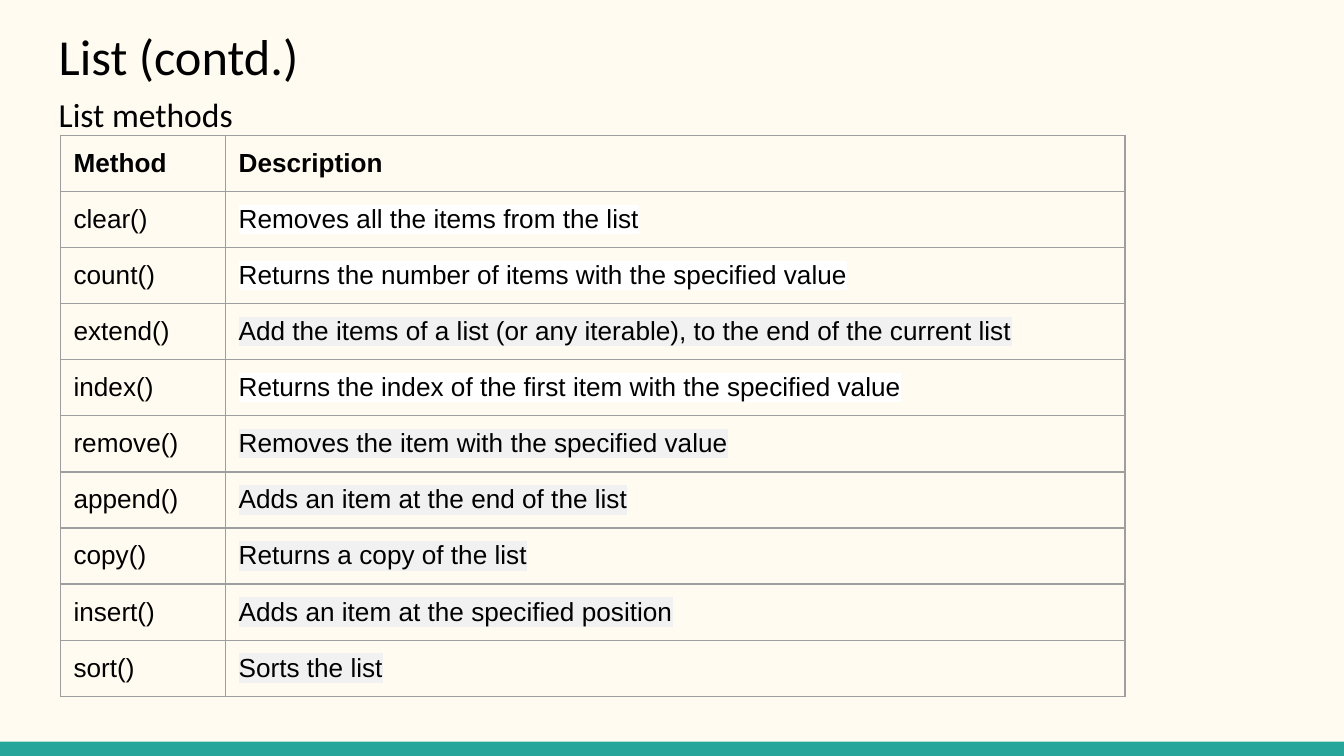
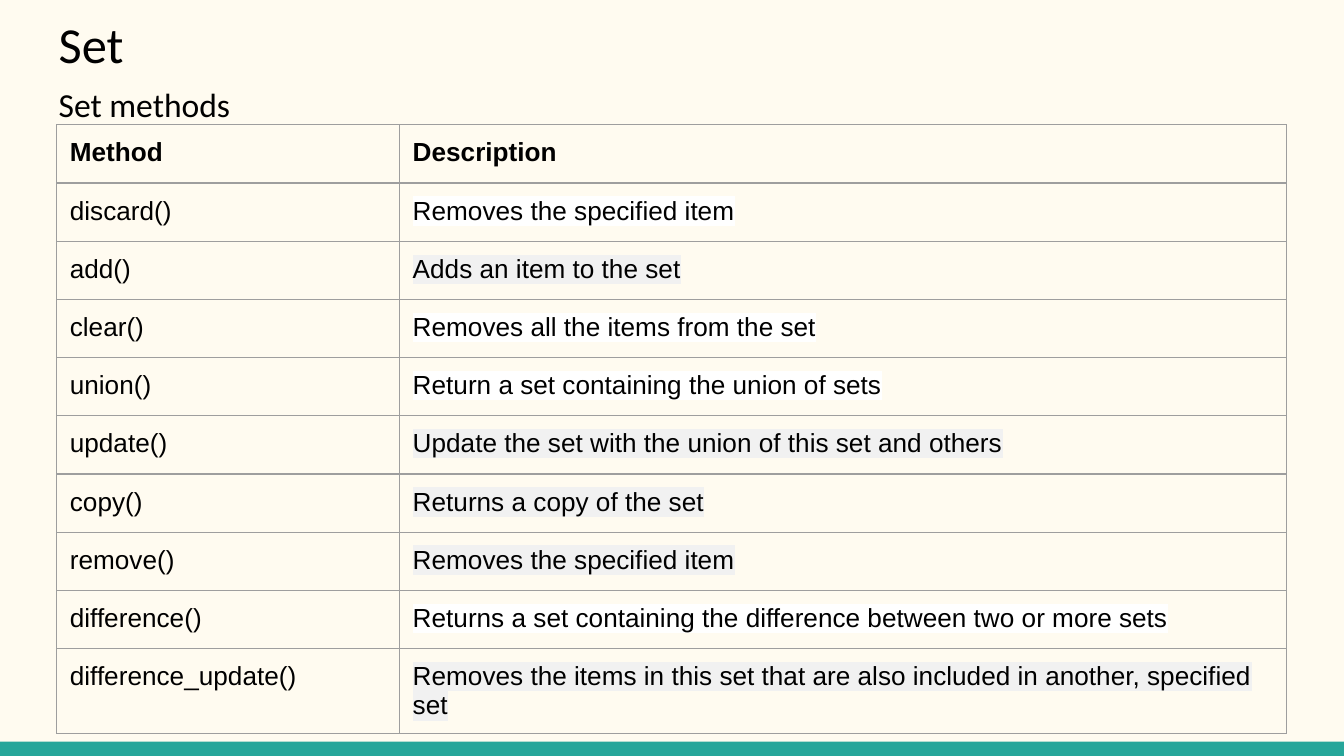
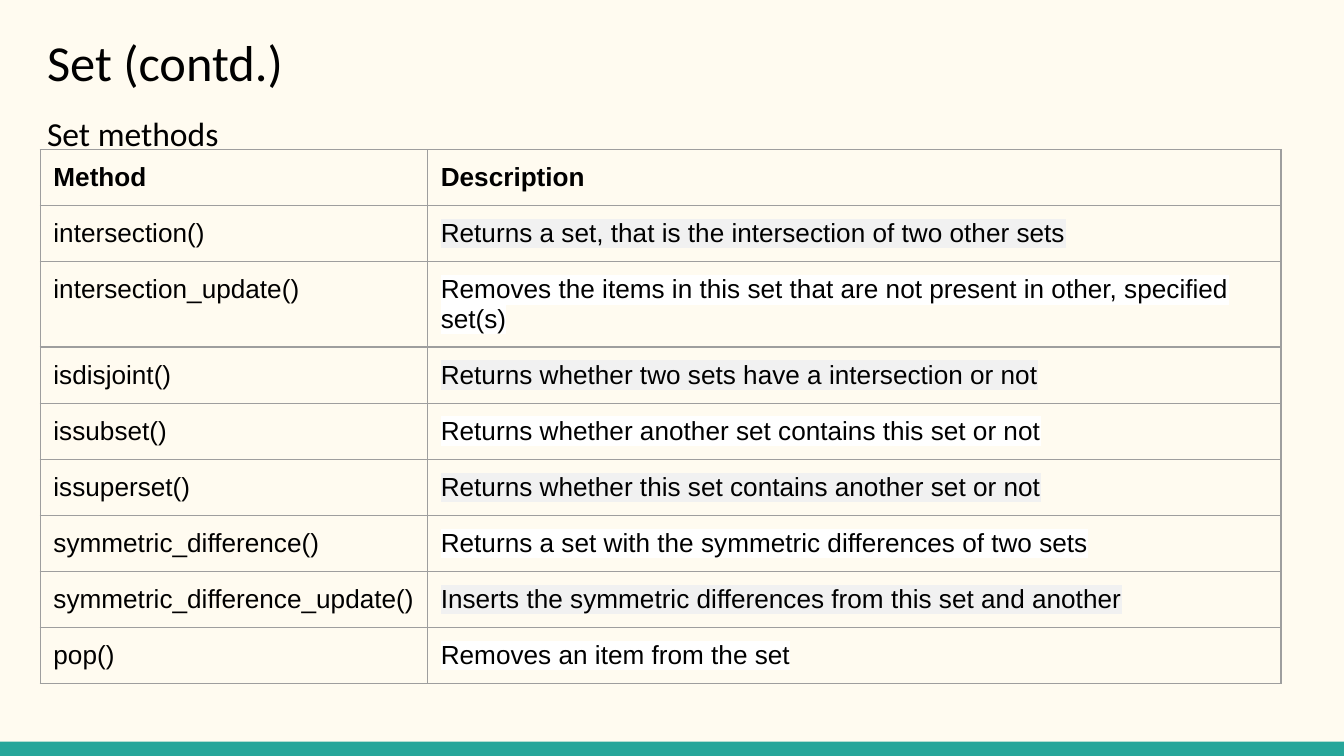
"""Build three slides that list the methods of Python lists and sets."""
from dataclasses import dataclass

from lxml.etree import SubElement
from pptx import Presentation
from pptx.dml.color import RGBColor as Rgb
from pptx.enum.shapes import MSO_SHAPE as Preset
from pptx.enum.text import MSO_ANCHOR as Anchor, MSO_AUTO_SIZE as AutoSize, PP_ALIGN as Align
from pptx.oxml.ns import qn
from pptx.presentation import Presentation as Deck
from pptx.slide import Slide
from pptx.table import _Cell as Cell
from pptx.text.text import TextFrame, _Paragraph as Paragraph
from pptx.util import Cm, Pt


@dataclass(frozen=True)
class Theme:
    paper: str = "FFFBF0"
    band: str = "26A69A"
    ink: str = "000000"
    grid: str = "9E9E9E"
    plain: str = "FFFFFF"
    shaded: str = "F1F1F1"
    heading_font: str = "Calibri"
    table_font: str = "Arial"
    title_size: float = 27
    subtitle_size: float = 18
    table_size: float = 14
    grid_width: float = 0.75
    inset: float = 0.25


@dataclass(frozen=True)
class Method:
    name: str
    description: str
    shaded: bool = False


@dataclass(frozen=True)
class MethodPage:
    title: str
    subtitle: str
    heading_left: float
    title_top: float
    subtitle_top: float
    table_left: float
    table_top: float
    column_widths: tuple[float, float]
    row_height: float
    methods: tuple[Method, ...]


THEME = Theme()
SLIDE_WIDTH, SLIDE_HEIGHT = 25.4, 14.29
BAND_HEIGHT = 0.27
HEADING_WIDTH, TITLE_HEIGHT, SUBTITLE_HEIGHT = 23.67, 1.6, 9.5

PAGES = (
    MethodPage(
        "List (contd.)", "List methods", 0.86, 0.23, 1.42, 1.14, 2.56, (3.12, 17), 1.06,
        (
            Method("clear()", "Removes all the items from the list"),
            Method("count()", "Returns the number of items with the specified value"),
            Method("extend()", "Add the items of a list (or any iterable), "
                               "to the end of the current list", True),
            Method("index()", "Returns the index of the first item with the specified value"),
            Method("remove()", "Removes the item with the specified value", True),
            Method("append()", "Adds an item at the end of the list", True),
            Method("copy()", "Returns a copy of the list", True),
            Method("insert()", "Adds an item at the specified position", True),
            Method("sort()", "Sorts the list", True),
        ),
    ),
    MethodPage(
        "Set", "Set methods", 0.86, 0, 1.22, 1.07, 2.36, (6.48, 16.76), 1.1,
        (
            Method("discard()", "Removes the specified item"),
            Method("add()", "Adds an item to the set", True),
            Method("clear()", "Removes all the items from the set"),
            Method("union()", "Return a set containing the union of sets"),
            Method("update()", "Update the set with the union of this set and others", True),
            Method("copy()", "Returns a copy of the set", True),
            Method("remove()", "Removes the specified item", True),
            Method("difference()",
                   "Returns a set containing the difference between two or more sets"),
            Method("difference_update()", "Removes the items in this set that are also "
                                          "included in another, specified set", True),
        ),
    ),
    MethodPage(
        "Set (contd.)", "Set methods", 0.64, 0.33, 1.78, 0.76, 2.83, (7.32, 16.13), 1.06,
        (
            Method("intersection()",
                   "Returns a set, that is the intersection of two other sets", True),
            Method("intersection_update()", "Removes the items in this set that are not "
                                            "present in other, specified set(s)"),
            Method("isdisjoint()", "Returns whether two sets have a intersection or not", True),
            Method("issubset()", "Returns whether another set contains this set or not"),
            Method("issuperset()", "Returns whether this set contains another set or not", True),
            Method("symmetric_difference()",
                   "Returns a set with the symmetric differences of two sets"),
            Method("symmetric_difference_update()",
                   "Inserts the symmetric differences from this set and another", True),
            Method("pop()", "Removes an item from the set"),
        ),
    ),
)


def style_paragraph(paragraph: Paragraph, face: str, size: float, bold: bool = False) -> None:
    """Set the typeface, size, weight and ink of a paragraph."""
    paragraph.alignment = Align.LEFT
    font = paragraph.font
    font.name, font.size, font.bold = face, Pt(size), bold
    font.color.rgb = Rgb.from_string(THEME.ink)


def write_heading(frame: TextFrame, text: str, size: float) -> Paragraph:
    """Fill a heading frame with one top-aligned line."""
    frame.text = text
    frame.word_wrap = True
    frame.auto_size = AutoSize.NONE
    frame.vertical_anchor = Anchor.TOP
    frame.margin_left = frame.margin_right = Cm(THEME.inset)
    frame.margin_top = frame.margin_bottom = Cm(THEME.inset)
    line = frame.paragraphs[0]
    style_paragraph(line, THEME.heading_font, size)
    return line


def add_headings(slide: Slide, page: MethodPage) -> None:
    """Place the title and the subtitle below it."""
    title = slide.shapes.title
    title.left, title.top = Cm(page.heading_left), Cm(page.title_top)
    title.width, title.height = Cm(HEADING_WIDTH), Cm(TITLE_HEIGHT)
    write_heading(title.text_frame, page.title, THEME.title_size)
    subtitle = slide.shapes.add_textbox(
        Cm(page.heading_left), Cm(page.subtitle_top), Cm(HEADING_WIDTH), Cm(SUBTITLE_HEIGHT))
    line = write_heading(subtitle.text_frame, page.subtitle, THEME.subtitle_size)
    line.line_spacing = 1.15
    line.space_after = Pt(12)


def add_color(parent, tag: str, color: str) -> None:
    """Append a colour element to an XML parent."""
    SubElement(SubElement(parent, qn(tag)), qn("a:srgbClr"), val=color)


def write_cell(cell: Cell, text: str, bold: bool = False, highlight: str = "") -> None:
    """Write a bordered, unfilled cell, optionally with highlighted text."""
    cell.margin_left = cell.margin_right = Cm(THEME.inset)
    cell.margin_top = cell.margin_bottom = Cm(THEME.inset)
    properties = cell._tc.get_or_add_tcPr()
    for side in ("a:lnL", "a:lnR", "a:lnT", "a:lnB"):
        border = SubElement(properties, qn(side), w=str(Pt(THEME.grid_width)))
        add_color(border, "a:solidFill", THEME.grid)
    cell.fill.background()
    line = cell.text_frame.paragraphs[0]
    style_paragraph(line, THEME.table_font, THEME.table_size, bold)
    run = line.add_run()
    run.text = text
    if highlight:
        add_color(run._r.get_or_add_rPr(), "a:highlight", highlight)


def add_method_table(slide: Slide, page: MethodPage) -> None:
    """Draw the table of methods and their descriptions."""
    row_count = len(page.methods) + 1
    table = slide.shapes.add_table(
        row_count, 2, Cm(page.table_left), Cm(page.table_top),
        Cm(sum(page.column_widths)), Cm(page.row_height * row_count)).table
    table.first_row = table.horz_banding = False
    for column, width in zip(table.columns, page.column_widths):
        column.width = Cm(width)
    for row in table.rows:
        row.height = Cm(page.row_height)
    for index, heading in enumerate(("Method", "Description")):
        write_cell(table.cell(0, index), heading, bold=True)
    for index, method in enumerate(page.methods, start=1):
        write_cell(table.cell(index, 0), method.name)
        write_cell(table.cell(index, 1), method.description,
                   highlight=THEME.shaded if method.shaded else THEME.plain)


def dress_master(deck: Deck, slide: Slide) -> None:
    """Give the master its paper colour and the band at the bottom."""
    master = deck.slide_master
    master.background.fill.solid()
    master.background.fill.fore_color.rgb = Rgb.from_string(THEME.paper)
    band = slide.shapes.add_shape(
        Preset.RECTANGLE, 0, Cm(SLIDE_HEIGHT - BAND_HEIGHT), Cm(SLIDE_WIDTH), Cm(BAND_HEIGHT))
    band.shadow.inherit = False
    band.fill.solid()
    band.fill.fore_color.rgb = Rgb.from_string(THEME.band)
    band.line.fill.background()
    master.shapes.element.append(band.element)


def main() -> None:
    """Build and save the deck."""
    deck = Presentation()
    deck.slide_width, deck.slide_height = Cm(SLIDE_WIDTH), Cm(SLIDE_HEIGHT)
    title_only = deck.slide_layouts.get_by_name("Title Only")
    for page in PAGES:
        slide = deck.slides.add_slide(title_only)
        add_headings(slide, page)
        add_method_table(slide, page)
    dress_master(deck, deck.slides[0])
    deck.save("out.pptx")


if __name__ == "__main__":
    main()
